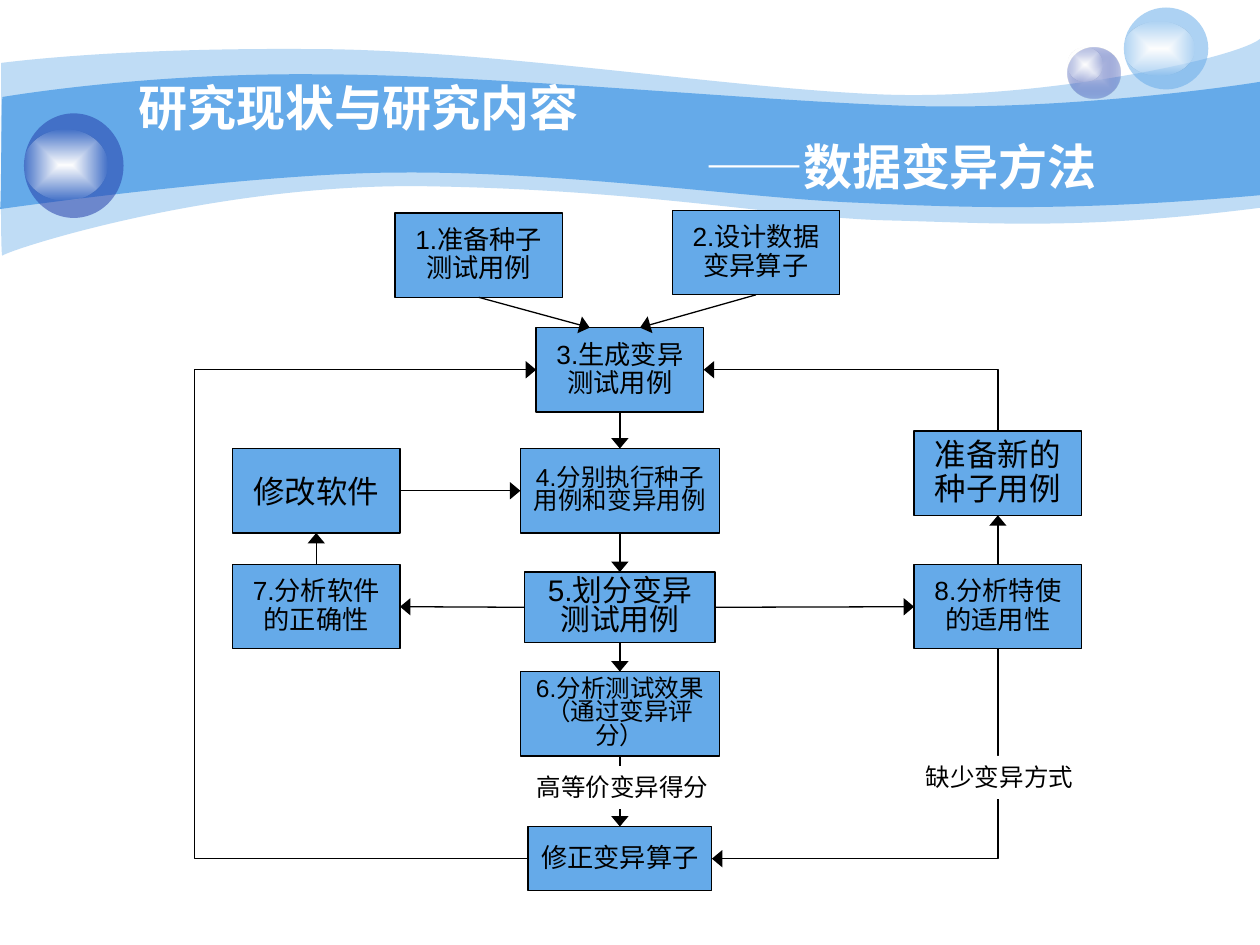
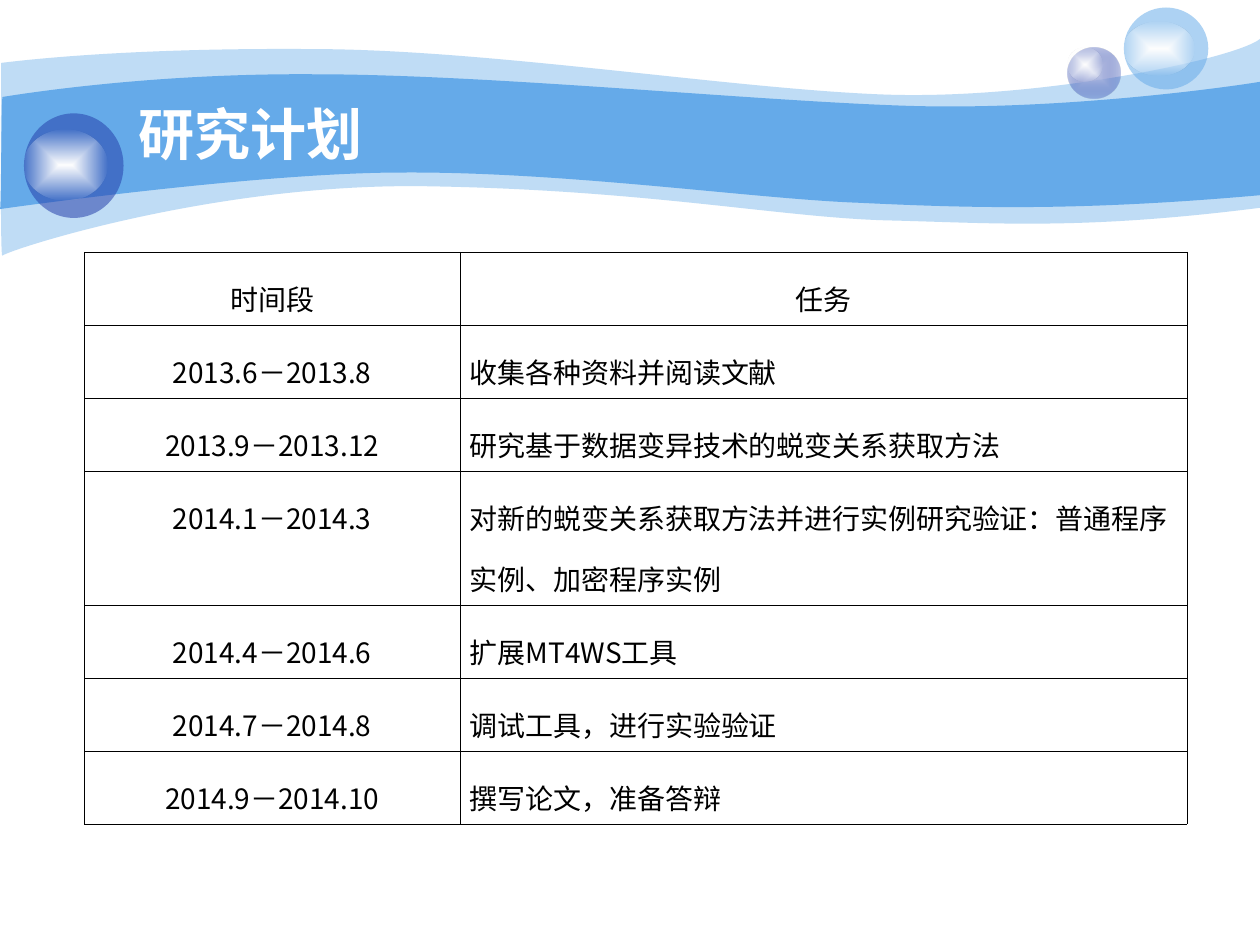
from lxml.etree import SubElement as Sub
from pptx import Presentation
from pptx.dml.color import RGBColor
from pptx.enum.shapes import MSO_CONNECTOR as Link, MSO_SHAPE as Form
from pptx.enum.text import MSO_ANCHOR as Anchor, PP_ALIGN as Align
from pptx.oxml import parse_xml
from pptx.oxml.ns import nsdecls, qn
from pptx.util import Inches, Pt

BLUE, NAVY, PALE, WHITE, BLACK = "65AAE9", "233DA9", "C7CEE9", "FFFFFF", "000000"
SANS, HAN = "Arial", "Noto Sans CJK SC"
GLOW = [(0, WHITE, 100), (100, WHITE, 0)]

WAVES = [
    (41, (0.01, 0.5), [
        [(0.25, 0.47), (1.08, 0.38), (2.47, 0.39)],
        [(3.86, 0.39), (5.76, 0.7), (6.99, 0.75)],
        [(8.22, 0.8), (9.8, 0.47), (10, 0.31)],
        [(10, 1.65)],
        [(8.58, 1.83), (7.88, 1.77), (7.05, 1.75)],
        [(6.22, 1.73), (5.15, 1.51), (3.44, 1.48)],
        [(1.72, 1.44), (0.05, 1.99), (0.02, 2.03)],
        [(0, 2.08), (0.01, 0.75), (0.01, 0.5)]]),
    (100, (0.02, 0.77), [
        [(0.03, 0.77), (1.11, 0.58), (2.49, 0.59)],
        [(3.87, 0.59), (5.96, 0.8), (7.19, 0.84)],
        [(8.41, 0.88), (9.76, 0.69), (10, 0.65)],
        [(10, 1.55)],
        [(8.53, 1.68), (7.66, 1.65), (6.82, 1.61)],
        [(5.99, 1.58), (4.48, 1.36), (3.18, 1.37)],
        [(2.04, 1.37), (-0.01, 1.66), (0, 1.66)],
        [(0.01, 1.66), (0.01, 0.77), (0.02, 0.77)]]),
]
BALLS = [
    ((8.47, 0.38, 0.42, 0.4), [(0, PALE, 100), (100, NAVY, 31)]),
    ((8.47, 0.38, 0.28, 0.27), GLOW),
    ((8.92, 0.06, 0.67, 0.65), [(0, BLUE, 53)]),
    ((8.92, 0.17, 0.56, 0.43), GLOW),
    ((0.19, 0.9, 0.79, 0.83), [(0, NAVY, 53)]),
    ((0.19, 1.03, 0.66, 0.56), GLOW),
]

LEFT, MID, RIGHT = 1.01, 3.42, 6.42
STEPS = {
    "seed": (2.3, 0.19, 1.33, 0.67, 15, 0.9, "1.准备种子测试用例"),
    "plan": (4.5, 0.17, 1.33, 0.67, 15, 0.9, "2.设计数据变异算子"),
    "make": (MID, 1.1, 1.33, 0.67, 15, 0.9, "3.生成变异测试用例"),
    "run": (MID, 2.06, 1.58, 0.67, 14, 0.8, "4.分别执行种子用例和变异用例"),
    "split": (MID, 3.04, 1.51, 0.56, 17, 0.8, "5.划分变异测试用例"),
    "score": (MID, 3.83, 1.58, 0.67, 14, 0.8, "6.分析测试效果（通过变异评分）"),
    "mend": (MID, 5.06, 1.46, 0.51, 15, 0.9, "修正变异算子"),
    "fit": (RIGHT, 2.98, 1.33, 0.67, 15, 0.9, "8.分析特使的适用性"),
    "check": (LEFT, 2.98, 1.33, 0.67, 15, 0.9, "7.分析软件的正确性"),
    "edit": (LEFT, 2.06, 1.33, 0.67, 18, 1, "修改软件"),
    "fresh": (RIGHT, 1.92, 1.33, 0.67, 18, 0.9, "准备新的种子用例"),
}
TOP, FOOT, WEST, EAST = (0.5, 0), (0.5, 1), (0, 0.5), (1, 0.5)
ARROWS = [
    ("seed", FOOT, "make", (0.32, 0)), ("plan", FOOT, "make", (0.62, 0)),
    ("make", FOOT, "run", TOP), ("run", FOOT, "split", TOP),
    ("split", FOOT, "score", TOP), ("score", FOOT, "mend", TOP),
    ("split", WEST, "check", EAST), ("split", EAST, "fit", WEST),
    ("check", TOP, "edit", FOOT), ("fit", TOP, "fresh", FOOT),
    ("edit", EAST, "run", WEST),
]
NOTES = [((5.75, 4.5, 1.59, 0.34), "缺少变异方式"),
         ((2.66, 4.58, 1.84, 0.34), "高等价变异得分")]

TASKS = [
    ("时间段", "任务"),
    ("2013.6－2013.8", "收集各种资料并阅读文献"),
    ("2013.9－2013.12", "研究基于数据变异技术的蜕变关系获取方法"),
    ("2014.1－2014.3", "对新的蜕变关系获取方法并进行实例研究验证：普通程序实例、加密程序实例"),
    ("2014.4－2014.6", "扩展MT4WS工具"),
    ("2014.7－2014.8", "调试工具，进行实验验证"),
    ("2014.9－2014.10", "撰写论文，准备答辩"),
]


def tint(code):
    return RGBColor.from_string(code)


def put(item, form):
    for key, val in form.items():
        setattr(item, key, val)


def span(box, part):
    x, y, w, h = part
    return [Inches(n) for n in (box[0] + x, box[1] + y, w, h)]


def write(frame, lines, size, color=BLACK, bold=False, face=SANS, **form):
    frame.word_wrap = True
    frame.text = "\n".join(lines)
    for para in frame.paragraphs:
        put(para, form)
        font = para.runs[0].font
        put(font, {"size": Pt(size), "bold": bold, "name": face})
        font.color.rgb = tint(color)
        Sub(para.runs[0]._r.rPr, qn("a:ea"), typeface=HAN)


def paint(shape, stops):
    shape.shadow.inherit = False
    shape.line.fill.background()
    shape.fill.solid()
    shape.fill.fore_color.rgb = tint(stops[0][1])
    props = shape._element.spPr
    solid = props.find(qn("a:solidFill"))
    if len(stops) == 1:
        if stops[0][2] < 100:
            Sub(solid[0], qn("a:alpha"), val=str(stops[0][2] * 1000))
        return
    marks = "".join(
        f'<a:gs pos="{pos * 1000}"><a:srgbClr val="{code}">'
        f'<a:alpha val="{alpha * 1000}"/></a:srgbClr></a:gs>'
        for pos, code, alpha in stops)
    props.replace(solid, parse_xml(
        f'<a:gradFill {nsdecls("a")} rotWithShape="1"><a:gsLst>{marks}</a:gsLst>'
        '<a:path path="rect"><a:fillToRect l="50000" t="50000" r="50000" b="50000"/>'
        '</a:path></a:gradFill>'))


def wave(slide, box, start, parts):
    def place(dot):
        return Inches(box[0] + dot[0]), Inches(box[1] + dot[1])

    pen = slide.shapes.build_freeform(*place(start), scale=1.0)
    pen.add_line_segments([place(dot) for part in parts for dot in part], close=True)
    shape = pen.convert_to_shape()
    legs = iter(list(shape._element.iter(qn("a:lnTo"))))
    for part in parts:
        group = [next(legs) for _ in part]
        if len(group) == 3:
            bend = parse_xml(f'<a:cubicBezTo {nsdecls("a")}/>')
            group[0].addprevious(bend)
            for leg in group:
                bend.append(leg[0])
                leg.getparent().remove(leg)
    return shape


def head(slide, box, lines, size, mid, inset=0):
    for alpha, start, parts in WAVES:
        paint(wave(slide, box, start, parts), [(0, BLUE, alpha)])
    for part, stops in BALLS:
        paint(slide.shapes.add_shape(Form.OVAL, *span(box, part)), stops)
    title = slide.shapes.add_textbox(*span(box, (1, mid - 0.18, 9, 0.36)))
    title.text_frame.vertical_anchor = Anchor.MIDDLE
    write(title.text_frame, lines, size, WHITE, True)
    for para in title.text_frame.paragraphs[1:]:
        para._p.get_or_add_pPr().set("marL", str(Inches(inset)))


def arrow(slide, start, end, kind=Link.STRAIGHT):
    line = slide.shapes.add_connector(kind, *(Inches(n) for n in (*start, *end)))
    line.line.width = Pt(0.75)
    line.line.color.rgb = tint(BLACK)
    props = line._element.spPr
    Sub(props.find(qn("a:ln")), qn("a:tailEnd"), type="triangle", w="lg", len="med")
    Sub(props, qn("a:effectLst"))
    return line


def turn(slide, start, end):
    line = arrow(slide, start, end, Link.ELBOW)
    wide, high = abs(end[1] - start[1]), abs(end[0] - start[0])
    left, top = (start[0] + end[0] - wide) / 2, (start[1] + end[1] - high) / 2
    put(line, {"left": Inches(left), "top": Inches(top),
               "width": Inches(wide), "height": Inches(high)})
    props = line._element.spPr
    props.find(qn("a:prstGeom")).set("prst", "bentConnector2")
    frame = props.find(qn("a:xfrm"))
    for key in ("flipH", "flipV"):
        frame.attrib.pop(key, None)
    rises = end[1] < start[1]
    frame.set("rot", str((270 if rises else 90) * 60000))
    if rises:
        frame.set("flipV", "1")


def loop(slide, start, end, far):
    line = arrow(slide, start, end, Link.ELBOW)
    geom = line._element.spPr.find(qn("a:prstGeom"))
    guides = geom.find(qn("a:avLst"))
    if guides is None:
        guides = Sub(geom, qn("a:avLst"))
    ratio = round((far - start[0]) / (end[0] - start[0]) * 100000)
    Sub(guides, qn("a:gd"), name="adj1", fmla=f"val {ratio}")


def flow(slide, box):
    def side(name, spot):
        mid, y, w, h = STEPS[name][:4]
        return box[0] + mid + w * (spot[0] - 0.5), box[1] + y + h * spot[1]

    for mid, y, w, h, size, gap, text in STEPS.values():
        node = slide.shapes.add_shape(Form.RECTANGLE, *span(box, (mid - w / 2, y, w, h)))
        paint(node, [(0, BLUE, 100)])
        node.line.color.rgb = tint(BLACK)
        node.line.width = Pt(0.75)
        node.text_frame.vertical_anchor = Anchor.MIDDLE
        write(node.text_frame, [text], size, alignment=Align.CENTER, line_spacing=gap)
    for first, out, last, into in ARROWS:
        arrow(slide, side(first, out), side(last, into))
    turn(slide, side("fresh", TOP), side("make", EAST))
    turn(slide, side("fit", FOOT), side("mend", EAST))
    loop(slide, side("mend", WEST), side("make", WEST), box[0] + 0.04)
    for part, text in NOTES:
        note = slide.shapes.add_shape(Form.RECTANGLE, *span(box, part))
        paint(note, [(0, WHITE, 100)])
        note.text_frame.vertical_anchor = Anchor.TOP
        write(note.text_frame, [text], 14, alignment=Align.LEFT)


def edge(cell):
    props = cell._tc.get_or_add_tcPr()
    for spot, side in enumerate(("lnL", "lnR", "lnT", "lnB")):
        props.insert(spot, parse_xml(
            f'<a:{side} {nsdecls("a")} w="{Pt(0.23)}"><a:solidFill>'
            f'<a:srgbClr val="{BLACK}"/></a:solidFill></a:{side}>'))


def chart(slide, box):
    grid = slide.shapes.add_table(len(TASKS), 2, *span(box, (0, 0, *box[2:]))).table
    put(grid, {"first_row": False, "horz_banding": False})
    for col, wide in zip(grid.columns, (2.98, box[2] - 2.98)):
        col.width = Inches(wide)
    for i, texts in enumerate(TASKS):
        grid.rows[i].height = Inches(1.06 if i == 3 else 0.58)
        for j, text in enumerate(texts):
            cell = grid.cell(i, j)
            put(cell, {"margin_left": Inches(0.08), "margin_right": Inches(0.08)})
            cell.fill.background()
            edge(cell)
            write(cell.text_frame, [text], 16, face=HAN, line_spacing=1.5,
                  alignment=Align.LEFT if i and j else Align.CENTER)


def main():
    deck = Presentation()
    put(deck, {"slide_width": Inches(10), "slide_height": Inches(7.5)})
    one, two = (deck.slides.add_slide(deck.slide_layouts[6]) for _ in range(2))
    top = (0, 0, 10, 2.1)
    head(one, top, ["研究现状与研究内容", "——数据变异方法"], 28, 1.08, 4.5)
    flow(one, (1.5, 1.5, 7.34, 5.57))
    head(two, top, ["研究计划"], 32, 1.06)
    chart(two, (0.67, 2, 8.75, 4.54))
    deck.save("out.pptx")


if __name__ == "__main__":
    main()
